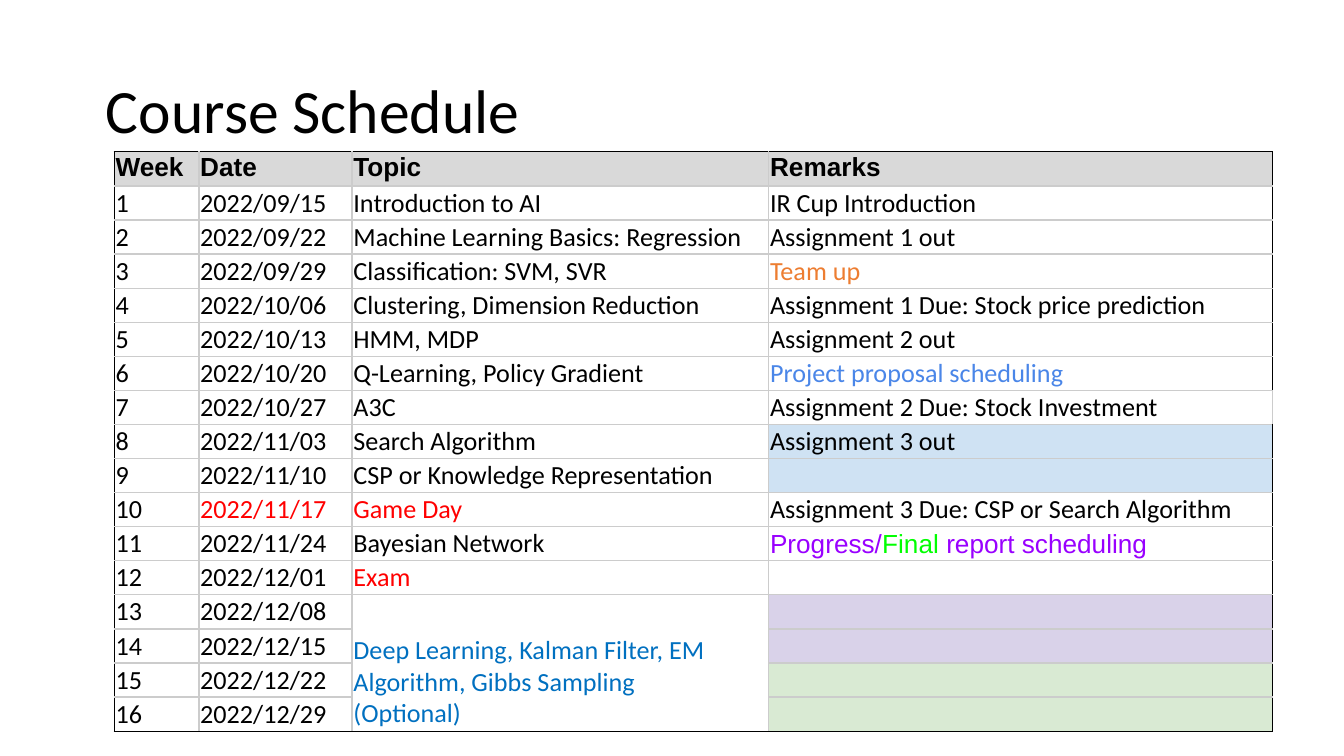
from lxml.etree import SubElement
from pptx import Presentation
from pptx.dml.color import RGBColor
from pptx.enum.text import MSO_ANCHOR
from pptx.oxml.ns import qn
from pptx.util import Inches, Pt

# Content: a cell is plain text or a list of (text, format) runs
TITLE = "Course Schedule"
HEAD = ["Week", "Date", "Topic", "Remarks"]
RED, PURPLE = {"color": "FF0000"}, {"color": "9900FF", "name": "Arial"}
WEEKS = [
    ("2022/09/15", "Introduction to AI", "IR Cup Introduction"),
    ("2022/09/22", "Machine Learning Basics: Regression", "Assignment 1 out"),
    ("2022/09/29", "Classification: SVM, SVR", [("Team up", {"color": "ED7D31"})]),
    ("2022/10/06", "Clustering, Dimension Reduction",
     "Assignment 1 Due: Stock price prediction"),
    ("2022/10/13", "HMM, MDP", "Assignment 2 out"),
    ("2022/10/20", "Q-Learning, Policy Gradient",
     [("Project proposal scheduling", {"color": "4A86E8"})]),
    ("2022/10/27", "A3C", "Assignment 2 Due: Stock Investment"),
    ("2022/11/03", "Search Algorithm", "Assignment 3 out"),
    ("2022/11/10", "CSP or Knowledge Representation", ""),
    ([("2022/11/17", RED)], [("Game Day", RED)],
     "Assignment 3 Due: CSP or Search Algorithm"),
    ("2022/11/24", "Bayesian Network",
     [("Progress/", PURPLE), ("Final", {"color": "00FF00", "name": "Arial"}),
      (" report scheduling", PURPLE)]),
    ("2022/12/01", [("Exam", RED)], ""),
    ("2022/12/08",
     [("Deep Learning, Kalman Filter, EM Algorithm, Gibbs Sampling\n(Optional)",
       {"color": "0070C0"})], ""),
    ("2022/12/15", "", ""),
    ("2022/12/22", "", ""),
    ("2022/12/29", "", ""),
]
WIDTHS = [0.63, 1.14, 3.1, 3.75]
ROW, TALL, PAD = 0.21, 4.27, 0.01
MERGE = (13, 16)  # weeks that share one topic
OPEN = 7          # week with a grey right edge
FILLS = {5: "FFFFFF", 7: "FFFFFF", 8: "CFE2F3", 9: "CFE2F3",
         13: "D9D2E9", 14: "D9D2E9", 15: "D9EAD3", 16: "D9EAD3"}
BLACK, GREY, SHADE = "000000", "CCCCCC", "D9D9D9"


def paint(fill, color):
    fill.solid()
    fill.fore_color.rgb = RGBColor.from_string(color)


def write(para, text, size=14, name="Calibri", color=BLACK, bold=False):
    for num, line in enumerate(text.split("\n")):
        if num:
            para.add_line_break()
        run = para.add_run()
        run.text = line
        font = run.font
        font.size, font.name, font.bold = Pt(size), name, bold
        font.color.rgb = RGBColor.from_string(color)


def border(cell, **sides):
    props = cell._tc.get_or_add_tcPr()
    for side in "LRTB":
        line = SubElement(props, qn(f"a:ln{side}"), w=str(Pt(0.75)))
        fill = SubElement(line, qn("a:solidFill"))
        SubElement(fill, qn("a:srgbClr"), val=sides[side])


# Widescreen 16:9 page
deck = Presentation()
deck.slide_width, deck.slide_height = Inches(10), Inches(10 * 9 / 16)
slide = deck.slides.add_slide(deck.slide_layouts[6])

# Title
box = slide.shapes.add_textbox(Inches(0.69), Inches(0.3), Inches(8.62), Inches(1.09))
frame = box.text_frame
frame.word_wrap = True
frame.vertical_anchor = MSO_ANCHOR.MIDDLE
frame.paragraphs[0].line_spacing = 0.9
write(frame.paragraphs[0], TITLE, size=33)

# Schedule table
rows = [HEAD] + [(str(week), *rest) for week, rest in enumerate(WEEKS, 1)]
last, end = len(rows) - 1, len(HEAD) - 1
holder = slide.shapes.add_table(
    len(rows), len(HEAD), Inches(0.85), Inches(1.13),
    Inches(sum(WIDTHS)), Inches(TALL))
grid = holder.table
grid.first_row = grid.horz_banding = False
for col, width in zip(grid.columns, WIDTHS):
    col.width = Inches(width)
for row in grid.rows:
    row.height = Inches(ROW)
holder.height = Inches(TALL)  # rows grow to fit their text
grid.cell(MERGE[0], 2).merge(grid.cell(MERGE[1], 2))

for r, row in enumerate(rows):
    for c, item in enumerate(row):
        cell = grid.cell(r, c)
        cell.margin_left = cell.margin_right = Inches(PAD)
        cell.margin_top = cell.margin_bottom = Inches(PAD)
        cell.vertical_anchor = MSO_ANCHOR.BOTTOM if r else MSO_ANCHOR.TOP

        # Black outer frame, grey inner lines, black beside the merged topic
        edge = c == end and r != OPEN
        beside = c == 1 and r > MERGE[0]
        border(cell,
               L=BLACK if c == 0 else GREY,
               R=BLACK if edge or beside else GREY,
               T=BLACK if r == 0 else GREY,
               B=BLACK if r == last or cell.is_merge_origin else GREY)
        color = SHADE if r == 0 else FILLS.get(r) if c == end else None
        if color:
            paint(cell.fill, color)
        else:
            cell.fill.background()

        para = cell.text_frame.paragraphs[0]
        if not item:  # keeps an empty cell as low as its row
            para._p.get_or_add_endParaRPr().set("sz", "1400")
            continue
        base = {"name": "Arial", "bold": True} if r == 0 else {}
        for text, look in [(item, base)] if isinstance(item, str) else item:
            write(para, text, **look)

deck.save("out.pptx")
